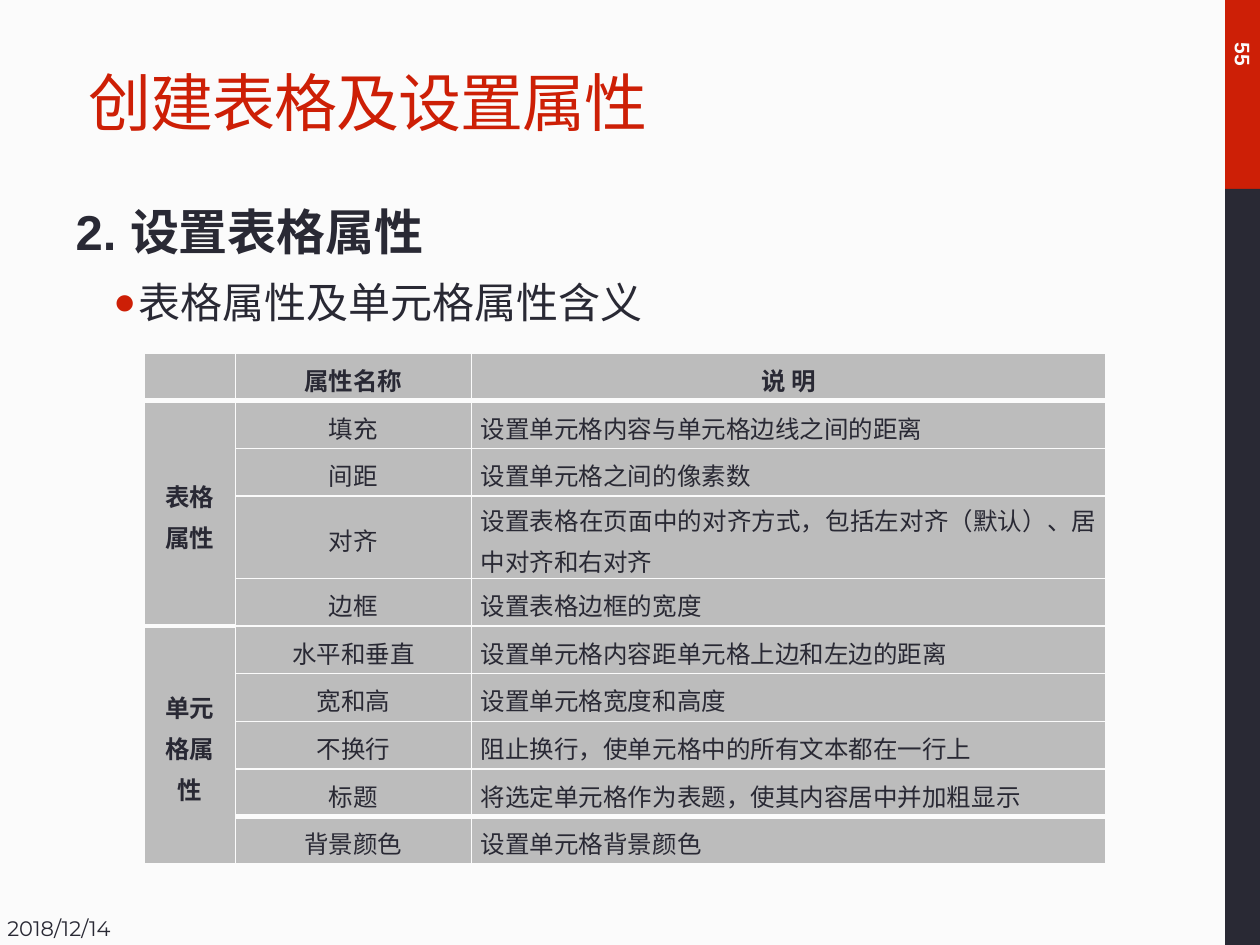
from lxml import etree
from pptx import Presentation
from pptx import util as u
from pptx.dml.color import RGBColor
from pptx.enum import shapes, text
from pptx.oxml import ns

RED = RGBColor(0xCD, 0x1F, 0x06)
DARK = RGBColor(0x29, 0x29, 0x34)
PAPER = RGBColor(0xFB, 0xFB, 0xFB)
GREY = RGBColor(0xBC, 0xBC, 0xBC)

ROWS = [
    ("", "属性名称", "说 明"),
    ("表格属性", "填充", "设置单元格内容与单元格边线之间的距离"),
    ("", "间距", "设置单元格之间的像素数"),
    ("", "对齐", "设置表格在页面中的对齐方式，包括左对齐（默认）、居中对齐和右对齐"),
    ("", "边框", "设置表格边框的宽度"),
    ("单元格属性", "水平和垂直", "设置单元格内容距单元格上边和左边的距离"),
    ("", "宽和高", "设置单元格宽度和高度"),
    ("", "不换行", "阻止换行，使单元格中的所有文本都在一行上"),
    ("", "标题", "将选定单元格作为表题，使其内容居中并加粗显示"),
    ("", "背景颜色", "设置单元格背景颜色"),
]
ROW_HEIGHT = 0.96
TWO_LINE_HEIGHT = 1.66
TWO_LINE_ROW = 3
GROUPS = [(1, 4), (5, 9)]
THICK_TOPS = {(1, 0), (1, 1), (1, 2), (5, 0), (9, 1), (9, 2)}


def add_xml(parent, tag, **attrs):
    return etree.SubElement(parent, ns.qn(tag), attrs)


class Deck:
    heading_font = "Montserrat"
    body_font = "Arial"

    def __init__(self):
        self.prs = Presentation()
        self.prs.slide_width = u.Cm(25.4)
        self.prs.slide_height = u.Cm(19.05)
        self.s = self.prs.slides.add_slide(self.prs.slide_layouts[1])
        fill = self.s.background.fill
        fill.solid()
        fill.fore_color.rgb = PAPER

    def place(self, sp, left, top, width, height):
        sp.left, sp.top = u.Cm(left), u.Cm(top)
        sp.width, sp.height = u.Cm(width), u.Cm(height)

    def style(self, p, size, color, font, bold=False):
        for r in p.runs:
            r.font.size = u.Pt(size)
            r.font.color.rgb = color
            r.font.name = font
            r.font.bold = bold

    def title(self, content, *box):
        sp = self.s.shapes.title
        self.place(sp, *box)
        tf = sp.text_frame
        tf.text = content
        tf.auto_size = text.MSO_AUTO_SIZE.NONE
        tf.vertical_anchor = text.MSO_ANCHOR.BOTTOM
        tf.margin_left = u.Cm(0.52)
        p = tf.paragraphs[0]
        p.alignment = text.PP_ALIGN.LEFT
        self.style(p, 36, RED, self.heading_font)
        p.runs[0].font._element.set("spc", "-60")

    def body(self, heading, item, *box):
        sp = self.s.placeholders[1]
        self.place(sp, *box)
        tf = sp.text_frame
        tf.text = heading
        tf.auto_size = text.MSO_AUTO_SIZE.NONE
        p = tf.paragraphs[0]
        pPr = p._p.get_or_add_pPr()
        pPr.set("marL", "0")
        pPr.set("indent", "0")
        add_xml(pPr, "a:buNone")
        p.space_before, p.space_after = u.Pt(0), u.Pt(6)
        self.style(p, 28, DARK, self.body_font, True)

        p = tf.add_paragraph()
        p.text = item
        p.level = 1
        pPr = p._p.get_or_add_pPr()
        pPr.set("marL", str(u.Cm(1.27)))
        pPr.set("indent", str(u.Cm(-0.51)))
        add_xml(add_xml(pPr, "a:buClr"), "a:srgbClr", val=str(RED))
        add_xml(pPr, "a:buSzPct", val="90000")
        add_xml(pPr, "a:buFont", typeface=self.body_font)
        add_xml(pPr, "a:buChar", char="●")
        p.space_before = u.Pt(3)
        self.style(p, 24, DARK, self.body_font)

    def bar(self, color, *box):
        sp = self.s.shapes.add_shape(shapes.MSO_SHAPE.RECTANGLE, *map(u.Cm, box))
        sp.shadow.inherit = False
        sp.fill.solid()
        sp.fill.fore_color.rgb = color
        sp.line.fill.background()

    def label(self, content, box, color, font, bold=False, rotation=0,
              anchor=text.MSO_ANCHOR.MIDDLE, align=text.PP_ALIGN.CENTER):
        sp = self.s.shapes.add_textbox(*map(u.Cm, box))
        sp.rotation = rotation
        tf = sp.text_frame
        tf.word_wrap = True
        tf.vertical_anchor = anchor
        tf.margin_bottom = 0
        tf.text = content
        p = tf.paragraphs[0]
        p.alignment = align
        self.style(p, 12, color, font, bold)

    def border(self, tcPr, side, width):
        ln = add_xml(tcPr, f"a:ln{side}", w=str(u.Pt(width)))
        add_xml(add_xml(ln, "a:solidFill"), "a:srgbClr", val=str(PAPER))

    def cell(self, cell, row, col, content):
        tcPr = cell._tc.get_or_add_tcPr()
        below = (row + cell.span_height, col)
        self.border(tcPr, "L", 1)
        self.border(tcPr, "R", 1)
        self.border(tcPr, "T", 3 if (row, col) in THICK_TOPS else 1)
        self.border(tcPr, "B", 3 if below in THICK_TOPS else 1)
        cell.fill.solid()
        cell.fill.fore_color.rgb = GREY
        cell.vertical_anchor = text.MSO_ANCHOR.MIDDLE
        cell.margin_left = cell.margin_right = u.Cm(0.19)
        cell.margin_top = cell.margin_bottom = 0
        cell.text_frame.text = content
        p = cell.text_frame.paragraphs[0]
        p.font.size = u.Pt(14)
        justified = row > 0 and col == 2
        p.alignment = text.PP_ALIGN.JUSTIFY if justified else text.PP_ALIGN.CENTER
        p.line_spacing = 1.15
        self.style(p, 14, DARK, self.body_font, row == 0 or col == 0)

    def table(self, rows, groups, widths, heights, left, top):
        frame = self.s.shapes.add_table(
            len(rows), len(widths), u.Cm(left), u.Cm(top),
            u.Cm(sum(widths)), u.Cm(sum(heights)))
        table = frame.table
        table.first_row = table.horz_banding = False
        for column, width in zip(table.columns, widths):
            column.width = u.Cm(width)
        for first, last in groups:
            table.cell(first, 0).merge(table.cell(last, 0))
        for i, (row, height) in enumerate(zip(rows, heights)):
            table.rows[i].height = u.Cm(height)
            for j, content in enumerate(row):
                self.cell(table.cell(i, j), i, j, content)


def main():
    deck = Deck()
    deck.bar(RED, 24.7, 0, 0.7, 3.81)
    deck.bar(DARK, 24.7, 3.81, 0.7, 15.24)
    deck.title("创建表格及设置属性", 1.27, 0.45, 20.42, 2.49)
    deck.body("2. 设置表格属性", "表格属性及单元格属性含义", 1.27, 3.94, 21.16, 13.41)
    deck.label("2018/12/14", (-0.1, 18.12, 3.2, 0.84), DARK, deck.heading_font,
               anchor=text.MSO_ANCHOR.BOTTOM, align=text.PP_ALIGN.LEFT)
    deck.label("55", (24.3, 0.58, 1.65, 1.02), PAPER, deck.body_font,
               bold=True, rotation=90)
    heights = [ROW_HEIGHT] * len(ROWS)
    heights[TWO_LINE_ROW] = TWO_LINE_HEIGHT
    deck.table(ROWS, GROUPS, [1.85, 4.75, 12.8], heights, 2.9, 7.12)
    deck.prs.save("out.pptx")


if __name__ == "__main__":
    main()
